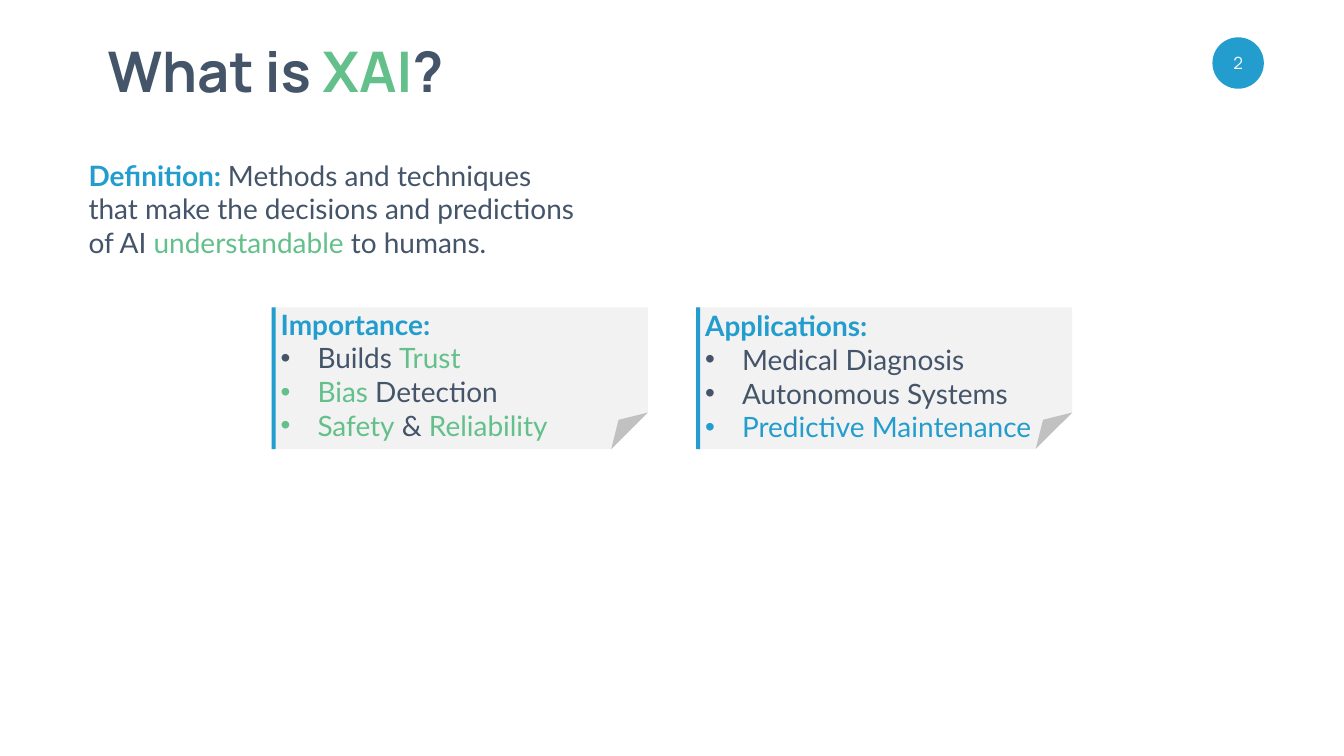
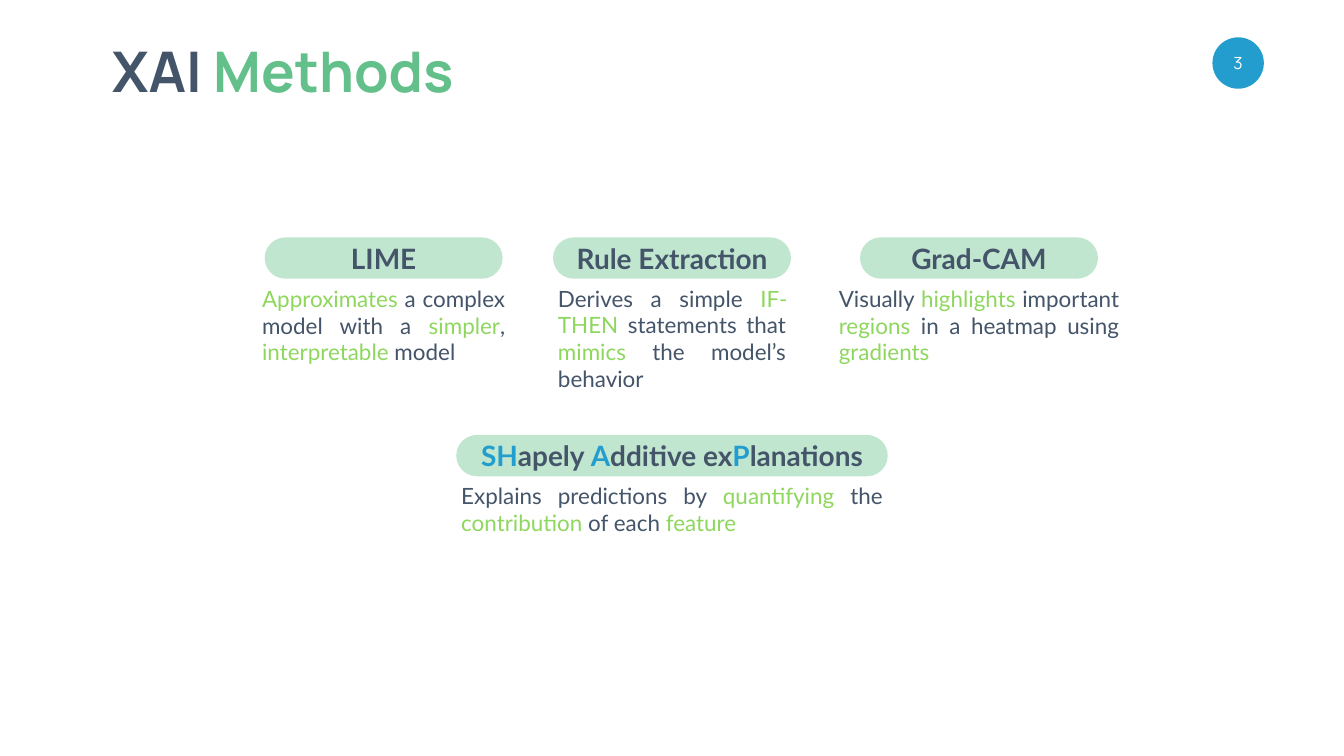
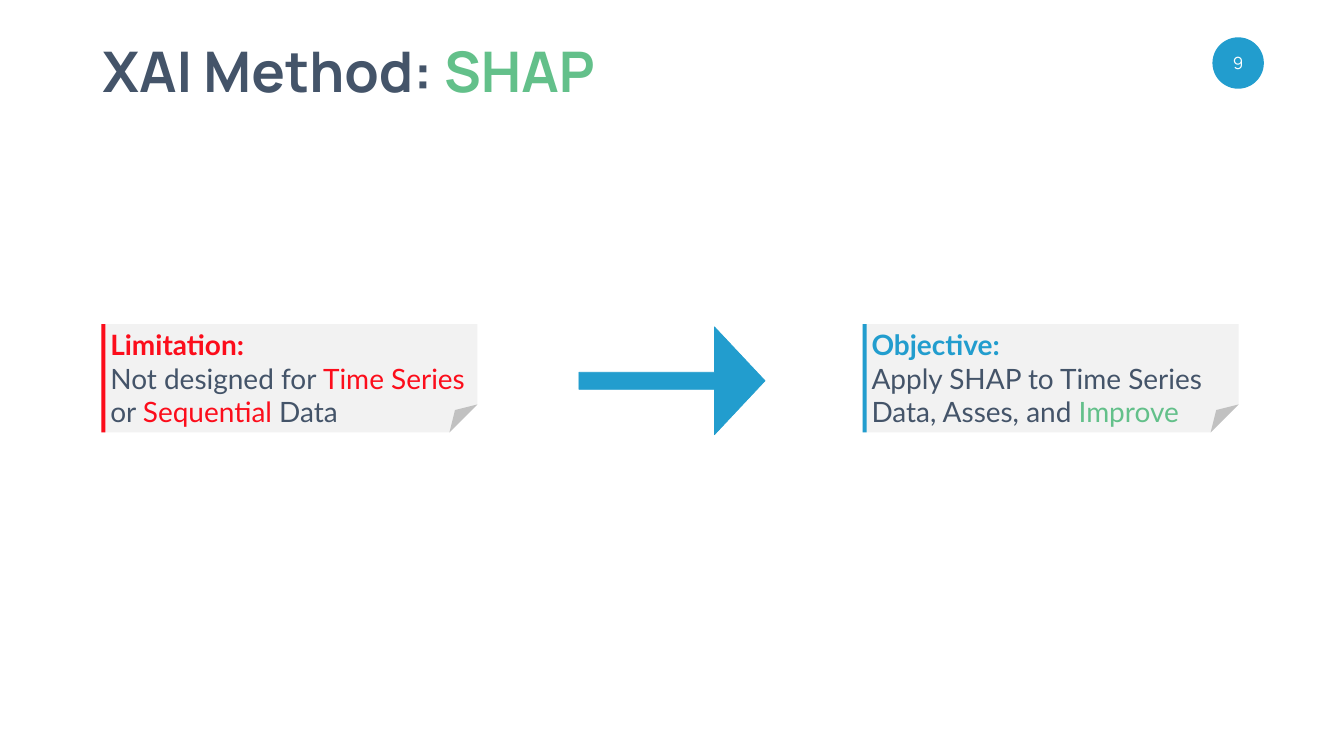
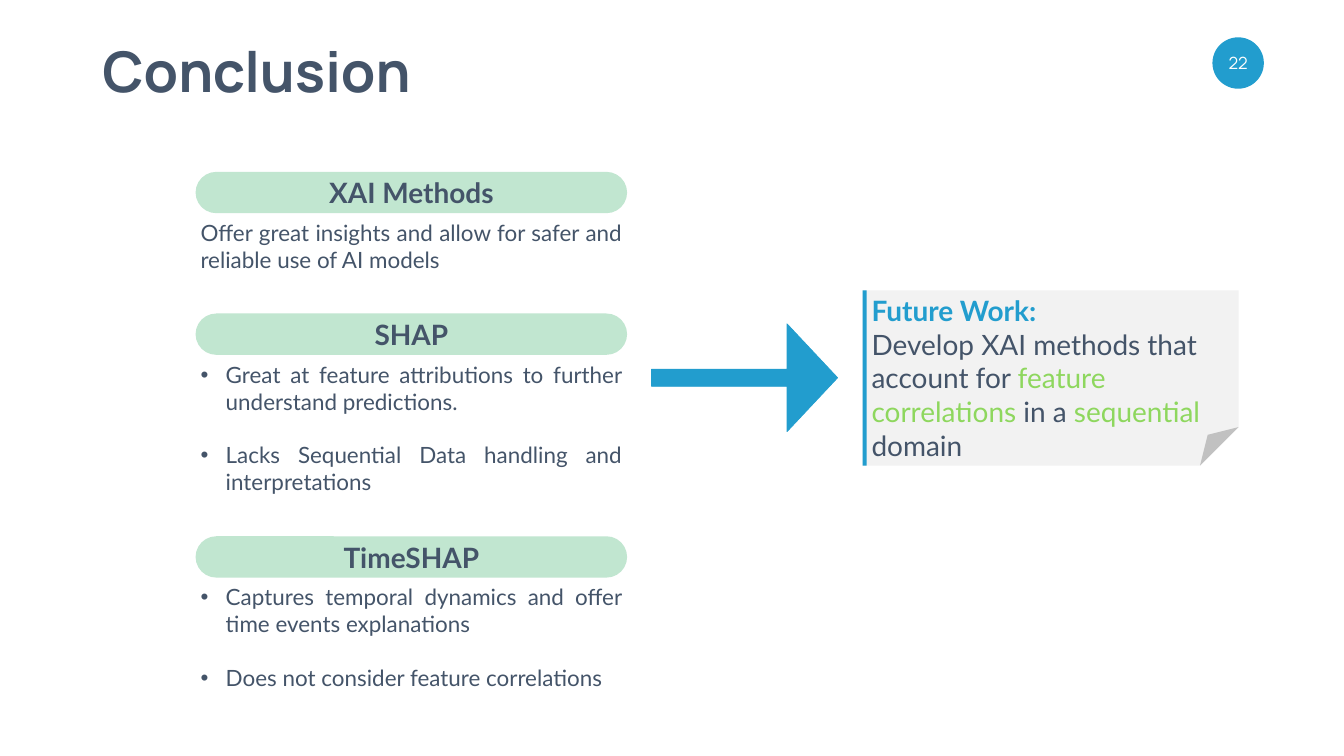
"""Build four slides on explainable AI: definition, methods, SHAP and conclusion."""
from lxml import etree
from pptx import Presentation
from pptx.dml.color import RGBColor
from pptx.enum import shapes, text
from pptx.oxml import ns
from pptx.util import Inches, Pt

INK = RGBColor(0x44, 0x54, 0x69)
BLUE = RGBColor(0x22, 0x9D, 0xCE)
GREEN = RGBColor(0x63, 0xC0, 0x8A)
LIME = RGBColor(0x8E, 0xD7, 0x5E)
MINT = RGBColor(0xC1, 0xE6, 0xD0)
RED = RGBColor(0xFC, 0x0D, 0x1B)
PAPER = RGBColor(0xF2, 0xF2, 0xF2)
WHITE = RGBColor(0xFF, 0xFF, 0xFF)
SHAPE = shapes.MSO_SHAPE
LEFT, CENTER, JUSTIFY = text.PP_ALIGN.LEFT, text.PP_ALIGN.CENTER, text.PP_ALIGN.JUSTIFY
PILL_HEIGHT, PILL_TEXT_DROP = 0.82, 0.89
NOTE_WIDTH, BAR_WIDTH = 7.46, 0.08
ARROW_WIDTH, ARROW_LENGTH = 2.14, 3.69


def write(frame, rows, size, align=LEFT, bold_rows=0, indent=0, gap=0, font="Lato"):
    """Fill a frame with rows of (words, colour) spans; rows after the bold ones may be bulleted."""
    for number, row in enumerate(rows):
        para = frame.paragraphs[0] if number == 0 else frame.add_paragraph()
        para.alignment = align
        if indent and number >= bold_rows:
            properties = para._p.get_or_add_pPr()
            properties.set("marL", str(Inches(indent)))
            properties.set("indent", str(-Inches(indent)))
            etree.SubElement(properties, ns.qn("a:buFont"), typeface="Arial")
            etree.SubElement(properties, ns.qn("a:buChar"), char="•")
        if gap and number > bold_rows:
            para.space_before = Pt(gap)
        para.font.size, para.font.name, para.font.bold = Pt(size), font, number < bold_rows
        for words, colour in row:
            span = para.add_run()
            span.text = words
            span.font.color.rgb = colour


def place(parent, kind, left, top, width, height, fill=None):
    """Add a flat shape, or a wrapping text box when kind is None."""
    bounds = [Inches(length) for length in (left, top, width, height)]
    if kind is None:
        box = parent.shapes.add_textbox(*bounds)
    else:
        box = parent.shapes.add_shape(kind, *bounds)
        box.shadow.inherit = False
        box.fill.solid()
        box.fill.fore_color.rgb = fill
        box.line.fill.background()
    box.text_frame.word_wrap = True
    return box


pages = [
    {
        "number": "2",
        "title": (1.79, 7.35, CENTER, [("What is ", INK), ("XAI", GREEN), ("?", INK)]),
        "notes": [
            (5.39, 6.1, 2.81, 0.258, -0.05, BLUE, 0.73, [
                [("Importance:", BLUE)],
                [("Builds ", INK), ("Trust", GREEN)],
                [("Bias", GREEN), (" Detection", INK)],
                [("Safety", GREEN), (" & ", INK), ("Reliability", GREEN)]]),
            (13.81, 6.1, 2.81, 0.258, -0.02, BLUE, 0.73, [
                [("Applications:", BLUE)],
                [("Medical Diagnosis", INK)],
                [("Autonomous Systems", INK)],
                [("Predictive Maintenance", BLUE)]]),
        ],
    },
    {
        "number": "3",
        "title": (1.89, 7.44, CENTER, [("XAI ", INK), ("Methods", GREEN)]),
        "pills": [
            (5.25, 4.71, 4.72, [("LIME", INK)], 5.02, 1.72, 0, [
                [("Approximates", LIME), (" a complex model with a ", INK), ("simpler", LIME),
                 (", ", INK), ("interpretable", LIME), (" model", INK)]]),
            (10.97, 4.71, 4.72, [("Rule Extraction", INK)], 4.72, 2.26, 0, [
                [("Derives a simple ", INK), ("IF-THEN", LIME), (" statements that ", INK),
                 ("mimics", LIME), (" the model’s behavior", INK)]]),
            (17.06, 4.71, 4.72, [("Grad-CAM", INK)], 5.76, 1.72, 0, [
                [("Visually ", INK), ("highlights", LIME), (" important ", INK),
                 ("regions", LIME), (" in a heatmap using ", INK), ("gradients", LIME)]]),
            (9.05, 8.63, 8.56,
             [("SH", BLUE), ("apely ", INK), ("A", BLUE), ("dditive ex", INK), ("P", BLUE),
              ("lanations", INK)], 8.56, 1.18, 0, [
                [("Explains predictions by ", INK), ("quantifying", LIME), (" the ", INK),
                 ("contribution", LIME), (" of each ", INK), ("feature", LIME)]]),
        ],
    },
    {
        "number": "9",
        "title": (1.93, 10.41, LEFT, [("XAI Method: ", INK), ("SHAP", GREEN)]),
        "arrow": (12.26, 5.71),
        "notes": [
            (2.01, 6.43, 2.15, 0.258, 0.02, RED, 0, [
                [("Limitation:", RED)],
                [("Not designed for ", INK), ("Time Series", RED), (" or ", INK),
                 ("Sequential", RED), (" Data", INK)]]),
            (17.11, 6.43, 2.15, 0.258, 0.02, BLUE, 0, [
                [("Objective:", BLUE)],
                [("Apply SHAP to Time Series Data, Asses, and ", INK), ("Improve", GREEN)]]),
        ],
    },
    {
        "number": "22",
        "title": (1.93, 6.72, LEFT, [("Conclusion", INK)]),
        "pills": [
            (3.88, 3.41, 8.56, [("XAI Methods", INK)], 8.56, 1.18, 0, [
                [("Offer great insights and allow for safer and reliable use of AI models", INK)]]),
            (3.88, 6.22, 8.56, [("SHAP", INK)], 8.56, 2.79, 0.5, [
                [("Great at feature attributions to further understand predictions.", INK)],
                [("Lacks Sequential Data handling and interpretations", INK)]]),
            (3.88, 10.64, 8.56, [("TimeSHAP", INK)], 8.56, 2.26, 0.5, [
                [("Captures temporal dynamics and offer time events explanations", INK)],
                [("Does not consider feature correlations", INK)]]),
        ],
        "arrow": (13.7, 5.65),
        "notes": [
            (17.11, 5.76, 3.48, 0.22, 0.02, BLUE, 0, [
                [("Future Work:", BLUE)],
                [("Develop XAI methods that account for ", INK), ("feature correlations", LIME),
                 (" in a ", INK), ("sequential", LIME), (" domain", INK)]]),
        ],
    },
]

deck = Presentation()
deck.slide_width, deck.slide_height = Inches(26.66), Inches(15)

for page in pages:
    slide = deck.slides.add_slide(deck.slide_layouts[5])

    left, width, align, spans = page["title"]
    title = slide.shapes.title
    title.left, title.top = Inches(left), Inches(0.67)
    title.width, title.height = Inches(width), Inches(1.45)
    title.text_frame.auto_size = text.MSO_AUTO_SIZE.NONE
    title.text_frame.word_wrap = False
    title.text_frame.vertical_anchor = text.MSO_ANCHOR.MIDDLE
    write(title.text_frame, [spans], 80, align, bold_rows=1, font="Manrope")

    badge = place(slide, SHAPE.OVAL, 24.05, 0.74, 1.02, 1.02, BLUE)
    frame = badge.text_frame
    frame.margin_left = frame.margin_right = frame.margin_top = frame.margin_bottom = 0
    frame.vertical_anchor = text.MSO_ANCHOR.MIDDLE
    write(frame, [[(page["number"], WHITE)]], 24, CENTER, font="Manrope")

    if page["number"] == "2":
        definition = place(slide, None, 1.66, 3.09, 9.96, 2.12)
        write(definition.text_frame, [[
            ("Definition: ", BLUE),
            ("Methods and techniques that make the decisions and predictions of AI ", INK),
            ("understandable", GREEN), (" to humans.", INK)]], 40)
        definition.text_frame.paragraphs[0].runs[0].font.bold = True

    for left, top, width, heading, body_width, body_height, indent, rows in page.get("pills", []):
        group = slide.shapes.add_group_shape()
        pill = place(group, SHAPE.ROUNDED_RECTANGLE, left, top, width, PILL_HEIGHT, MINT)
        pill.adjustments[0] = 0.5
        pill.text_frame.vertical_anchor = text.MSO_ANCHOR.MIDDLE
        write(pill.text_frame, [heading], 40, CENTER, bold_rows=1)
        body_left = left + (width - body_width) / 2
        body = place(group, None, body_left, top + PILL_TEXT_DROP, body_width, body_height)
        write(body.text_frame, rows, 32, JUSTIFY, indent=indent, gap=38.4)

    if "arrow" in page:
        left, top = page["arrow"]
        arrow = place(slide, SHAPE.DOWN_ARROW, left, top, ARROW_WIDTH, ARROW_LENGTH, BLUE)
        arrow.rotation = 270
        arrow.adjustments[0], arrow.adjustments[1] = 0.158, 0.469
        arrow.line.color.rgb = BLUE
        arrow.line.width = Pt(1)

    for left, top, height, fold, text_drop, accent, indent, rows in page.get("notes", []):
        group = slide.shapes.add_group_shape()
        sheet = place(group, SHAPE.FOLDED_CORNER, left, top, NOTE_WIDTH, height, PAPER)
        geometry = sheet._element.spPr.find(ns.qn("a:prstGeom"))
        guides = geometry.find(ns.qn("a:avLst"))
        etree.SubElement(guides, ns.qn("a:gd"), name="adj", fmla=f"val {round(fold * 100000)}")
        place(group, SHAPE.RECTANGLE, left, top, BAR_WIDTH, height, accent)
        words = place(group, None, left + BAR_WIDTH, top + text_drop, NOTE_WIDTH - BAR_WIDTH, height)
        write(words.text_frame, rows, 40, bold_rows=1, indent=indent)

deck.save("out.pptx")
